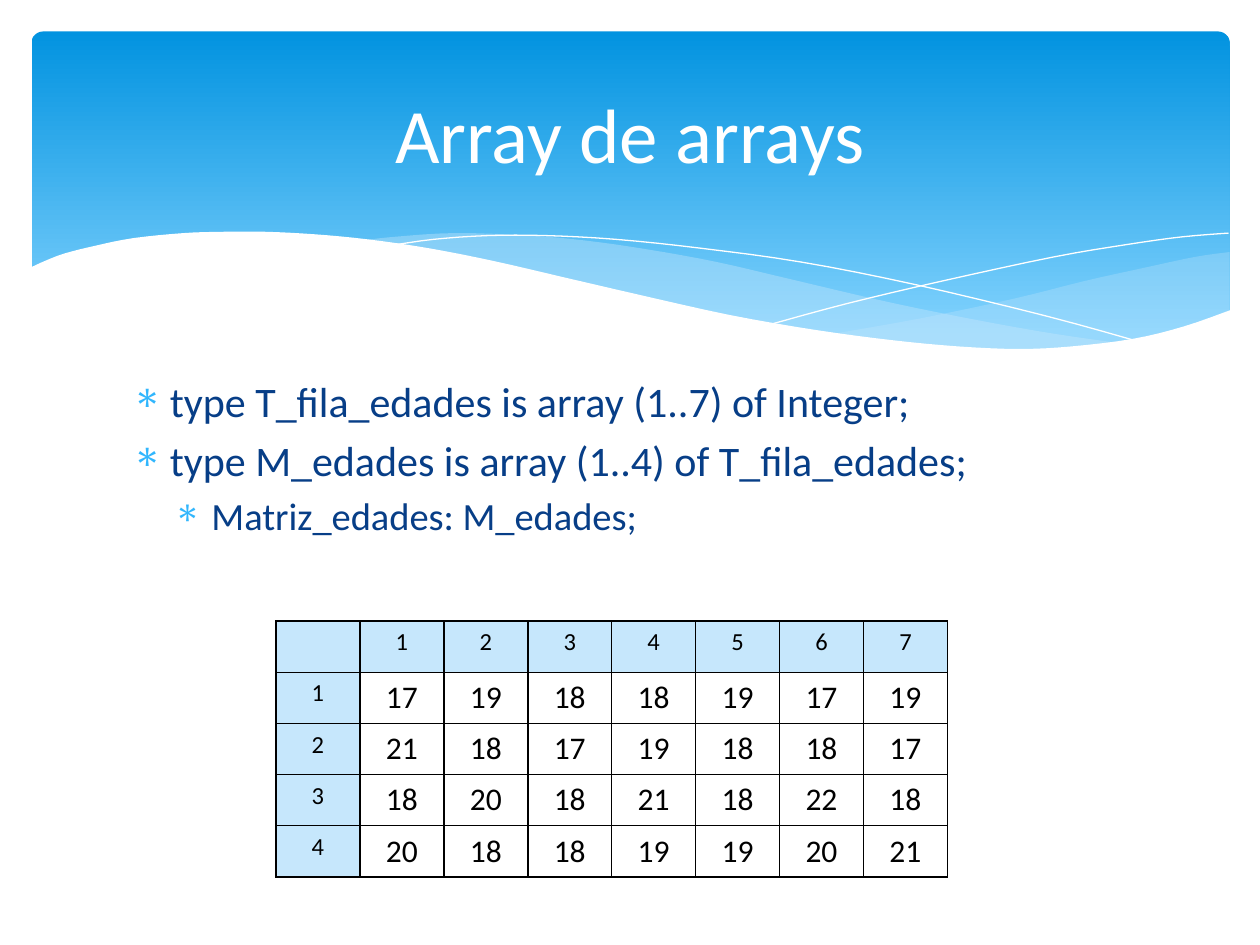
from dataclasses import dataclass
from itertools import product

from lxml.etree import SubElement
from pptx import Presentation
from pptx.dml.color import RGBColor as Rgb
from pptx.enum.shapes import MSO_SHAPE as Preset
from pptx.enum.text import MSO_ANCHOR as Anchor, PP_ALIGN as Align
from pptx.oxml.ns import qn
from pptx.util import Inches, Pt


@dataclass(frozen=True)
class Theme:
    font: str = "Calibri"
    sky_top: str = "0293E0"
    sky_bottom: str = "83D3FE"
    pale: str = "C6E7FC"
    white: str = "FFFFFF"
    black: str = "000000"
    navy: str = "073E87"
    bullet: str = "31B6FD"
    title_size: int = 44
    body_sizes: tuple = (24, 22)
    header_size: int = 14
    value_size: int = 18


THEME = Theme()
TITLE = "Array de arrays"
BODY = [
    ("type T_fila_edades is array (1..7) of Integer;", 0),
    ("type M_edades is array (1..4) of T_fila_edades;", 0),
    ("Matriz_edades: M_edades;", 1),
]
BODY_INDENTS = (0.3, 0.63)
HANGING = 0.3
AGES = [
    [17, 19, 18, 18, 19, 17, 19],
    [21, 18, 17, 19, 18, 18, 17],
    [18, 20, 18, 21, 18, 22, 18],
    [20, 18, 18, 19, 19, 20, 21],
]

RIGHT_SWELL = [
    [(9.76, 2), (9.48, 2.04), (9.06, 2.13), (8.61, 2.23), (8.05, 2.37), (7.29, 2.53), (6.61, 2.65)],
    [(6.61, 2.65), (7.05, 2.71), (7.57, 2.76), (8.03, 2.78), (8.54, 2.76), (8.97, 2.7),
     (9.35, 2.62), (9.76, 2.47)],
]
MIDDLE_SWELL = [
    [(8.93, 2.73), (8.37, 2.65), (7.75, 2.54), (7.06, 2.4), (6.29, 2.22), (5.69, 2.08),
     (5.14, 1.98), (4.65, 1.91), (4.2, 1.87), (3.61, 1.85), (3.13, 1.88), (2.86, 1.91)],
    [(2.86, 1.91), (3.42, 1.99), (4.04, 2.11), (4.49, 2.22), (5.3, 2.4), (6.01, 2.55),
     (6.65, 2.66), (7.22, 2.74), (7.73, 2.77), (8.18, 2.78), (8.57, 2.77), (8.93, 2.73)],
]
FALLING_LINE = [
    [(3.09, 1.95), (3.44, 1.9), (3.87, 1.87), (4.33, 1.87), (4.89, 1.9), (5.56, 1.97),
     (6.36, 2.08), (7.27, 2.26), (8.31, 2.51), (9.07, 2.72)],
]
RISING_LINE = [
    [(6.13, 2.57), (6.72, 2.41), (7.48, 2.23), (8.36, 2.04), (8.95, 1.94), (9.38, 1.88), (9.75, 1.85)],
]
WHITE_WAVE = [
    [(9.77, 2.46), (9.4, 2.59), (8.99, 2.69), (8.5, 2.75), (8.09, 2.77), (7.61, 2.75),
     (7.08, 2.7), (6.48, 2.62), (5.79, 2.5), (5.03, 2.33), (4.47, 2.2), (3.91, 2.07),
     (3.4, 1.97), (2.92, 1.9), (2.5, 1.86), (2.11, 1.84), (1.77, 1.84), (1.46, 1.85),
     (1.06, 1.89), (0.76, 1.95), (0.52, 2.01), (0.36, 2.07), (0.23, 2.13)],
    [(0.23, 3.29), (9.77, 3.29)],
]
WAVES = [
    (RIGHT_SWELL, dict(fill=THEME.pale, alpha=29)),
    (MIDDLE_SWELL, dict(fill=THEME.pale, alpha=40)),
    (FALLING_LINE, dict(line=THEME.white)),
    (RISING_LINE, dict(line=THEME.white)),
    (WHITE_WAVE, dict(fill=THEME.white)),
]


def color(value):
    return Rgb.from_string(value)


def smooth(knots, steps=4):
    padded = [knots[0], *knots, knots[-1]]
    points = [knots[0]]
    for a, b, c, d in zip(padded, padded[1:], padded[2:], padded[3:]):
        for step in range(1, steps + 1):
            t = step / steps
            points.append(tuple(
                (2 * q + (r - p) * t + (2 * p - 5 * q + 4 * r - s) * t**2
                 + (3 * q - p - 3 * r + s) * t**3) / 2
                for p, q, r, s in zip(a, b, c, d)))
    return points


def add_wave(shapes, curves, fill=None, alpha=100, line=None):
    points = [(Inches(x), Inches(y)) for curve in curves for x, y in smooth(curve)]
    builder = shapes.build_freeform(*points[0])
    builder.add_line_segments(points[1:], close=fill is not None)
    wave = builder.convert_to_shape()
    wave.shadow.inherit = False
    if fill:
        wave.fill.solid()
        wave.fill.fore_color.rgb = color(fill)
        tint = wave.fill._xPr.find(".//" + qn("a:srgbClr"))
        SubElement(tint, qn("a:alpha"), val=str(alpha * 1000))
    else:
        wave.fill.background()
    if line:
        wave.line.color.rgb = color(line)
        wave.line.width = Pt(0)
    else:
        wave.line.fill.background()


def add_sky(shapes):
    sky = shapes.add_shape(Preset.ROUNDED_RECTANGLE, Inches(0.25), Inches(0.25), Inches(9.51), Inches(2.7))
    sky.adjustments[0] = 0.034
    sky.shadow.inherit = False
    sky.line.fill.background()
    sky.fill.gradient()
    sky.fill.gradient_angle = 270
    stops = [(0, THEME.sky_top), (0.9, THEME.sky_bottom)]
    for stop, (position, tint) in zip(sky.fill.gradient_stops, stops):
        stop.position = position
        stop.color.rgb = color(tint)


def write(para, text, size, tint, align=Align.LEFT):
    para.alignment = align
    span = para.add_run()
    span.text = text
    span.font.name = THEME.font
    span.font.size = Pt(size)
    span.font.color.rgb = color(tint)


def add_bullet(para, indent):
    props = para._p.get_or_add_pPr()
    props.set("marL", str(Inches(indent)))
    props.set("indent", str(-Inches(HANGING)))
    SubElement(SubElement(props, qn("a:buClr")), qn("a:srgbClr"), val=THEME.bullet)
    SubElement(props, qn("a:buFont"), typeface="Symbol")
    SubElement(props, qn("a:buChar"), char="∗")


def place_title(title):
    title.left, title.top, title.width, title.height = map(Inches, (0.5, 0.37, 9, 1.37))
    title.text_frame.vertical_anchor = Anchor.MIDDLE
    write(title.text_frame.paragraphs[0], TITLE, THEME.title_size, THEME.white, Align.CENTER)
    title._element.getparent().append(title._element)


def add_body(shapes):
    box = shapes.add_textbox(Inches(0.95), Inches(2.93), Inches(8.1), Inches(3.77))
    frame = box.text_frame
    frame.word_wrap = True
    for index, (text, level) in enumerate(BODY):
        para = frame.add_paragraph() if index else frame.paragraphs[0]
        size = THEME.body_sizes[level]
        para.level = level
        para.space_before = Pt(size * 0.2)
        add_bullet(para, BODY_INDENTS[level])
        write(para, text, size, THEME.navy)


def add_borders(cell):
    props = cell._tc.get_or_add_tcPr()
    for side in ("lnL", "lnR", "lnT", "lnB"):
        edge = SubElement(props, qn(f"a:{side}"), w=str(Pt(1)))
        SubElement(SubElement(edge, qn("a:solidFill")), qn("a:srgbClr"), val=THEME.black)


def add_ages(shapes):
    header = ["", *range(1, len(AGES[0]) + 1)]
    rows = [header] + [[number, *ages] for number, ages in enumerate(AGES, 1)]
    table = shapes.add_table(len(rows), len(header), Inches(2.19), Inches(4.93),
                             Inches(5.33), Inches(2.03)).table
    table.first_row = table.horz_banding = False
    for row, column in product(range(len(rows)), range(len(header))):
        cell = table.cell(row, column)
        add_borders(cell)
        is_header = row == 0 or column == 0
        if is_header:
            cell.fill.solid()
            cell.fill.fore_color.rgb = color(THEME.pale)
        else:
            cell.fill.background()
        if row or column:
            size = THEME.header_size if is_header else THEME.value_size
            write(cell.text_frame.paragraphs[0], str(rows[row][column]), size, THEME.black, Align.CENTER)


def main():
    deck = Presentation()
    deck.slide_width, deck.slide_height = Inches(10), Inches(7.5)
    page = deck.slides.add_slide(deck.slide_layouts[5])
    add_sky(page.shapes)
    for curves, look in WAVES:
        add_wave(page.shapes, curves, **look)
    add_body(page.shapes)
    place_title(page.shapes.title)
    add_ages(page.shapes)
    deck.save("out.pptx")


if __name__ == "__main__":
    main()
